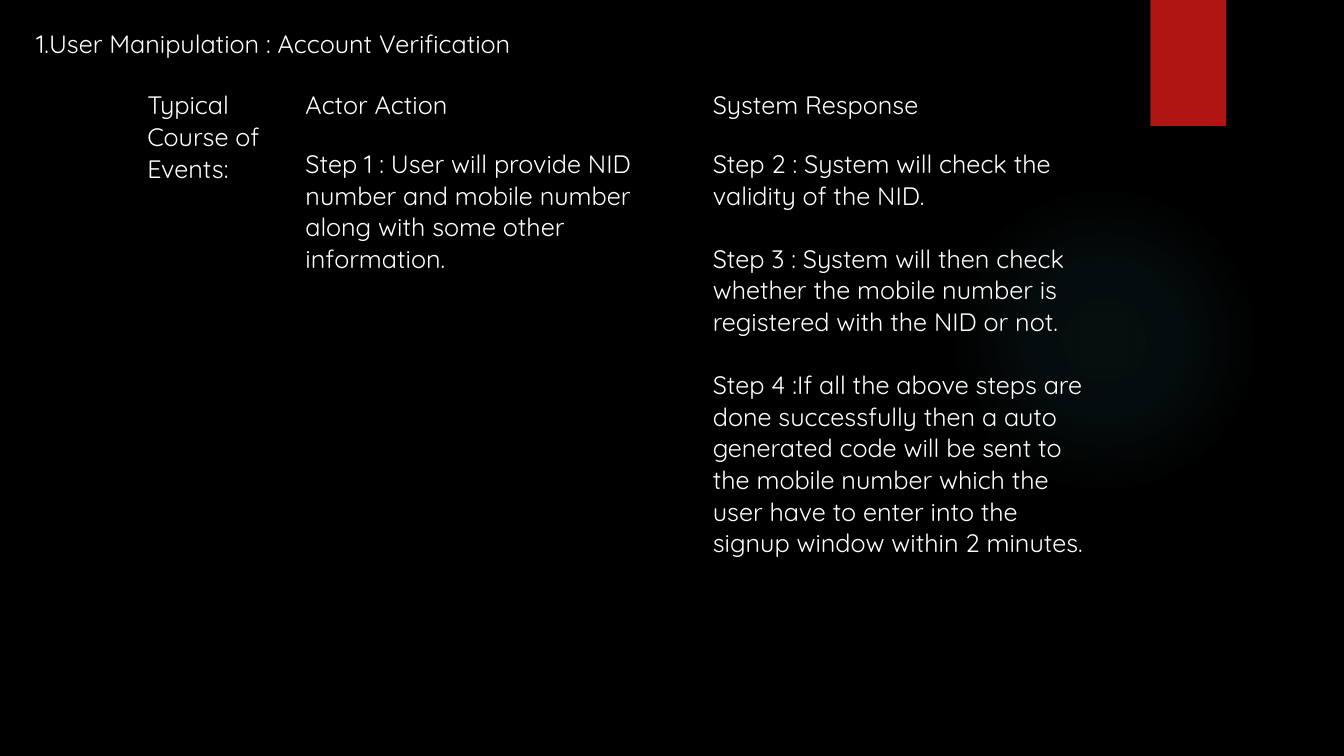
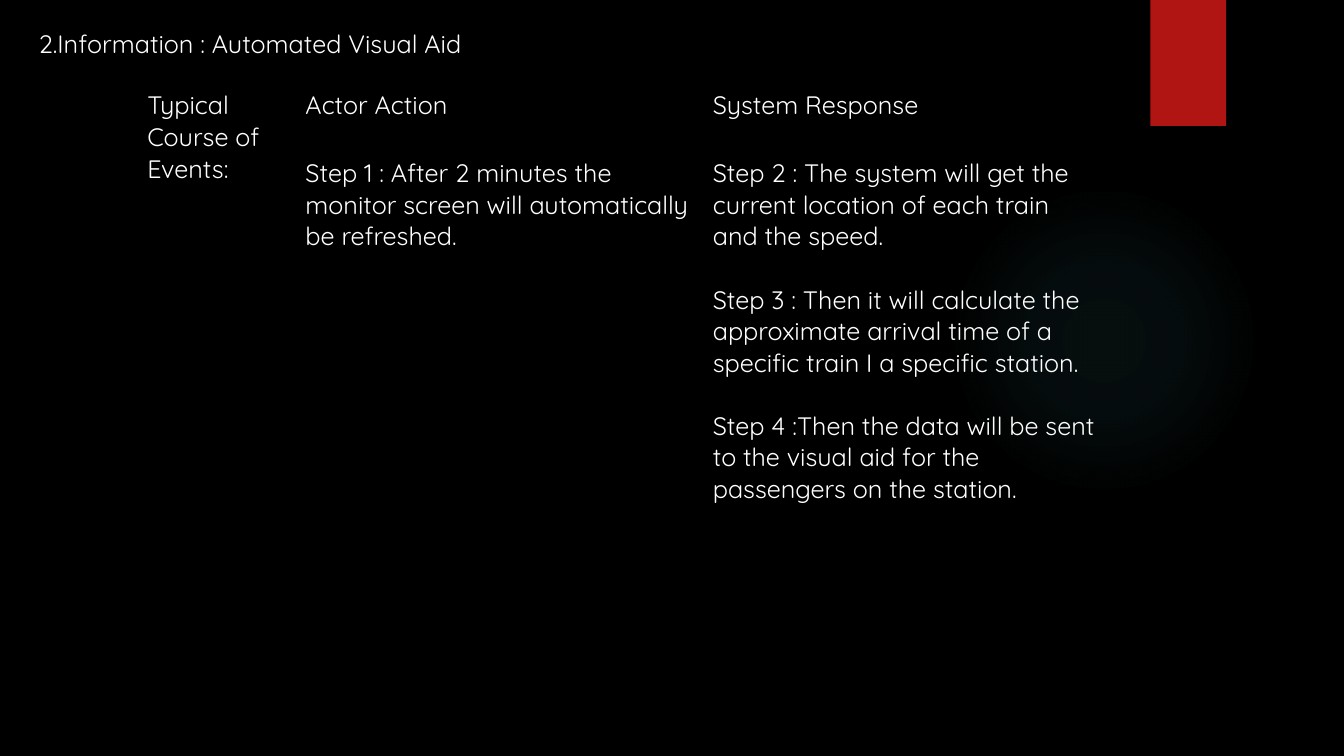
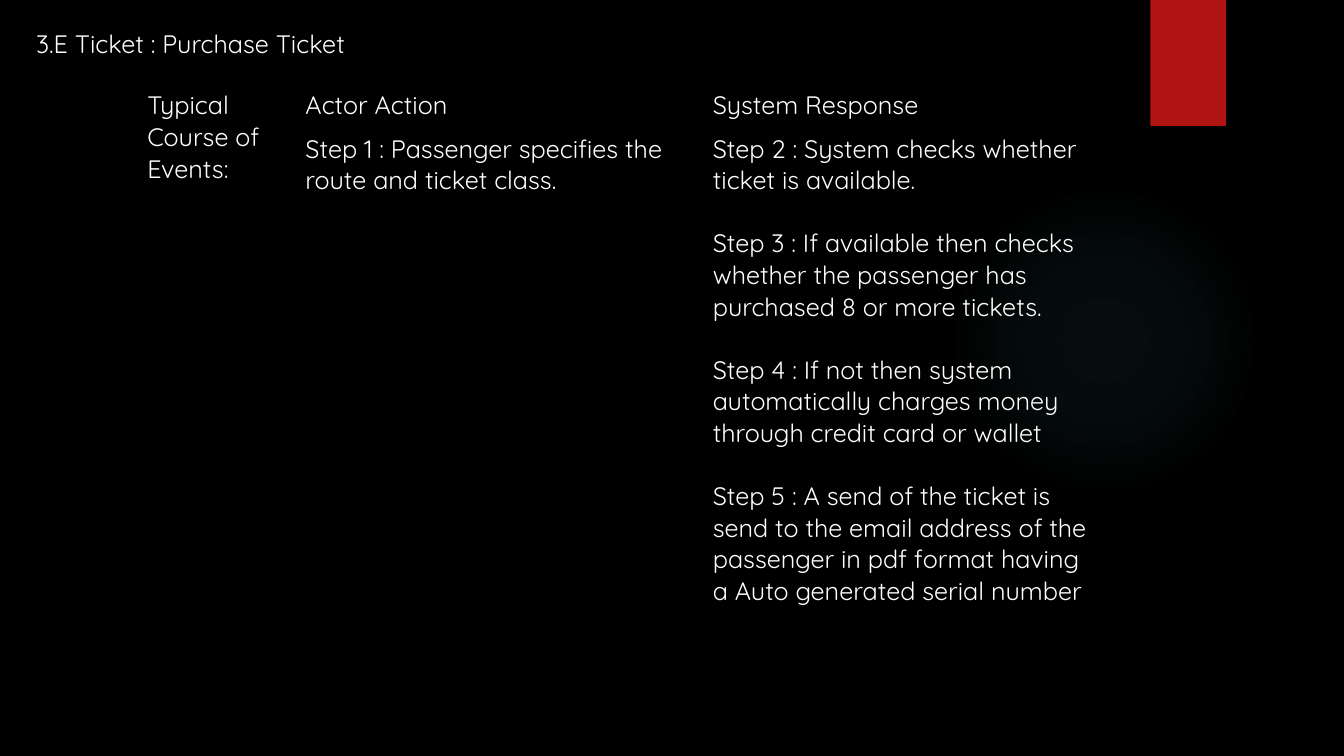
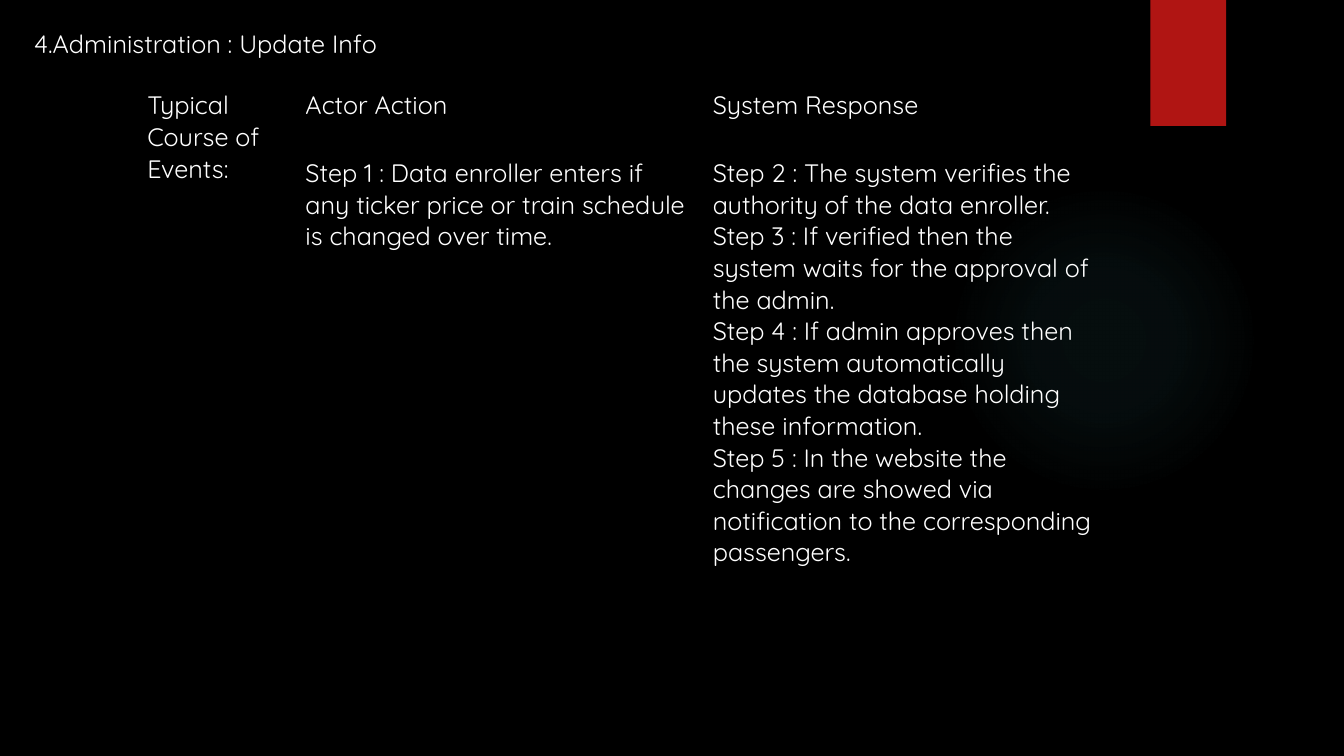
import pptx
import pptx.dml.color
import pptx.enum.shapes
import pptx.enum.text
import pptx.oxml
import pptx.oxml.ns
import pptx.util
import lxml.etree

Pt = pptx.util.Pt
qn = pptx.oxml.ns.qn
SHAPE = pptx.enum.shapes.MSO_SHAPE

HEX = {"back": "000000", "glow": "50B9C1", "band": "B01513", "text": "FFFFFF"}
FONT, SIZE, LINE = "Quicksand", 18, 22.5
PLAIN = "{2D5ABB26-0587-4C30-8999-92F81FD0307C}"  # table style without grid
GLOW = [(0, 7), (36, 6), (69, 0)]  # stop and opacity, in percent

LABEL = "Typical Course of Events:"
HEADS = ["Actor Action", "System Response"]
TOP, LEFT, SIDE, WIDE = 60.5, 98, 113, 291

# title, its left and width, header row height, table height, step gap
CASES = [
    {"title": "1.User Manipulation : Account Verification",
     "left": 18.7, "width": 384.5, "head": 42, "high": 435, "gap": LINE,
     "actor": ["Step 1 : User will provide NID number and mobile number "
               "along with some other information."],
     "system": ["Step 2 : System will check the validity of the NID.",
                "Step 3 : System will then check whether the mobile number "
                "is registered with the NID or not.",
                "Step 4 :If all the above steps are done successfully then "
                "a auto generated code will be sent to the mobile number "
                "which the user have to enter into the signup window "
                "within 2 minutes."]},
    {"title": "2.Information : Automated Visual Aid",
     "left": 20.5, "width": 338.5, "head": 48.5, "high": 440, "gap": LINE,
     "actor": ["Step 1 : After 2 minutes the monitor screen will "
               "automatically be refreshed."],
     "system": ["Step 2 : The system will get the current location of each "
                "train and the speed.",
                "Step 3 : Then it will calculate the approximate arrival "
                "time of a specific train I a specific station.",
                "Step 4 :Then the data will be sent to the visual aid for "
                "the passengers on the station."]},
    {"title": "3.E Ticket : Purchase Ticket",
     "left": 18.7, "width": 246, "head": 31, "high": 440, "gap": LINE,
     "actor": ["Step 1 : Passenger specifies the route and ticket class."],
     "system": ["Step 2 : System checks whether ticket is available.",
                "Step 3 : If available then checks whether the passenger "
                "has purchased 8 or more tickets.",
                "Step 4 : If not then system automatically charges money "
                "through credit card or wallet",
                "Step 5 : A send of the ticket is send to the email address "
                "of the passenger in pdf format having a Auto generated "
                "serial number"]},
    {"title": "4.Administration : Update Info",
     "left": 17.3, "width": 275, "head": 48.5, "high": 440, "gap": 0,
     "actor": ["Step 1 : Data enroller enters if any ticker price or train "
               "schedule is changed over time."],
     "system": ["Step 2 : The system verifies the authority of the data "
                "enroller.",
                "Step 3 : If verified then the system waits for the "
                "approval of the admin.",
                "Step 4 : If admin approves then the system automatically "
                "updates the database holding these information.",
                "Step 5 : In the website the changes are showed via "
                "notification to the corresponding passengers."]},
]


def tint(name):
    """Return a named colour."""
    return pptx.dml.color.RGBColor.from_string(HEX[name])


def write(frame, lines, size=SIZE, color="text", gap=0):
    """Write lines as paragraphs, with a gap before each but the first."""
    for i, line in enumerate(lines):
        para = frame.add_paragraph() if i else frame.paragraphs[0]
        para.space_before = Pt(gap if i else 0)
        run = para.add_run()
        run.text = line
        run.font.name, run.font.size = FONT, Pt(size)
        run.font.color.rgb = tint(color)


def shape(slide, kind, left, top, width, height, color):
    """Add a flat shape without outline."""
    item = slide.shapes.add_shape(kind, *map(Pt, (left, top, width, height)))
    item.shadow.inherit = False
    item.line.fill.background()
    item.fill.solid()
    item.fill.fore_color.rgb = tint(color)
    return item


def fade(item):
    """Turn the solid fill of a shape into a soft round glow."""
    stops = "".join(
        f'<a:gs pos="{pos * 1000}"><a:srgbClr val="{HEX["glow"]}">'
        f'<a:alpha val="{alpha * 1000}"/></a:srgbClr></a:gs>'
        for pos, alpha in GLOW)
    grad = pptx.oxml.parse_xml(
        f'<a:gradFill {pptx.oxml.ns.nsdecls("a")}><a:gsLst>{stops}</a:gsLst>'
        '<a:path path="circle"><a:fillToRect l="50000" t="50000" '
        'r="50000" b="50000"/></a:path></a:gradFill>')
    solid = next(item.element.iter(qn("a:solidFill")))
    solid.getparent().replace(solid, grad)


def grid(slide, left, width, highs, rows, gap=0):
    """Add a bare table; each cell holds a list of lines."""
    count = len(rows[0])
    frame = slide.shapes.add_table(len(rows), count, Pt(left), Pt(TOP),
                                   Pt(width * count), Pt(sum(highs)))
    next(frame.element.iter(qn("a:tableStyleId"))).text = PLAIN
    table = frame.table
    table.first_row = table.horz_banding = False
    for r, row in enumerate(rows):
        table.rows[r].height = Pt(highs[r])
        for c, lines in enumerate(row):
            cell = table.cell(r, c)
            cell.fill.background()
            write(cell.text_frame, lines, gap=gap)


def build(deck, case):
    """Build the slide of one use case."""
    slide = deck.slides.add_slide(deck.slide_layouts[6])
    fade(shape(slide, SHAPE.OVAL, 677.5, 131.8, 221.8, 221.8, "glow"))
    shape(slide, SHAPE.RECTANGLE, 821.8, 0, 54, 90, "band")
    head, high = case["head"], case["high"]
    grid(slide, LEFT + SIDE, WIDE, [head, high - head],
         [[[name] for name in HEADS], [case["actor"], case["system"]]],
         gap=case["gap"])
    grid(slide, LEFT, SIDE, [high], [[[LABEL]]])
    box = slide.shapes.add_textbox(Pt(case["left"]), Pt(16.5),
                                   Pt(case["width"]), Pt(29))
    box.text_frame.word_wrap = False
    box.text_frame.auto_size = pptx.enum.text.MSO_AUTO_SIZE.SHAPE_TO_FIT_TEXT
    write(box.text_frame, [case["title"]])


def main():
    """Build and save the deck."""
    deck = pptx.Presentation()
    deck.slide_width, deck.slide_height = Pt(960), Pt(540)
    fill = deck.slide_master.background.fill
    fill.solid()
    fill.fore_color.rgb = tint("back")
    for case in CASES:
        build(deck, case)
    deck.save("out.pptx")


main()
